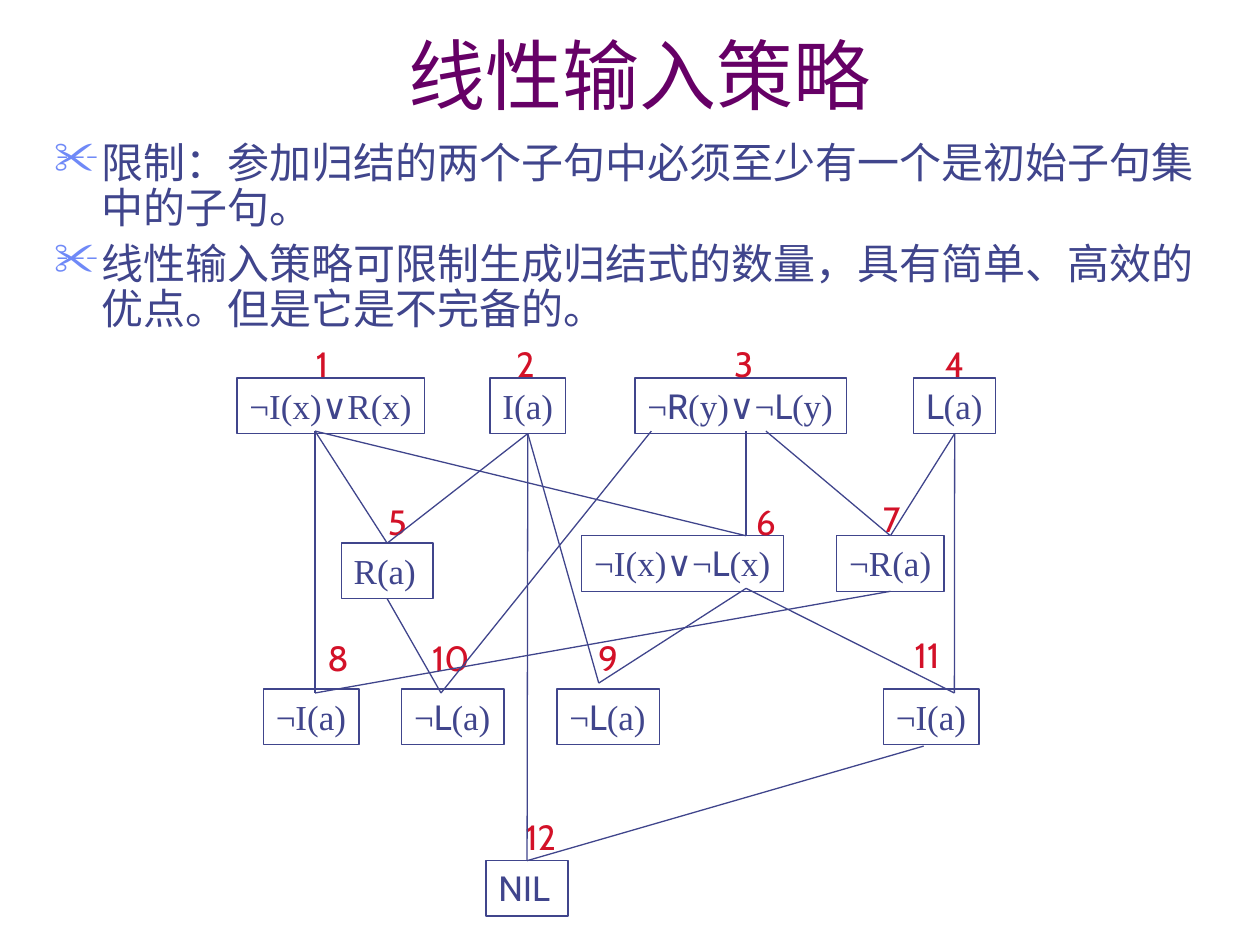
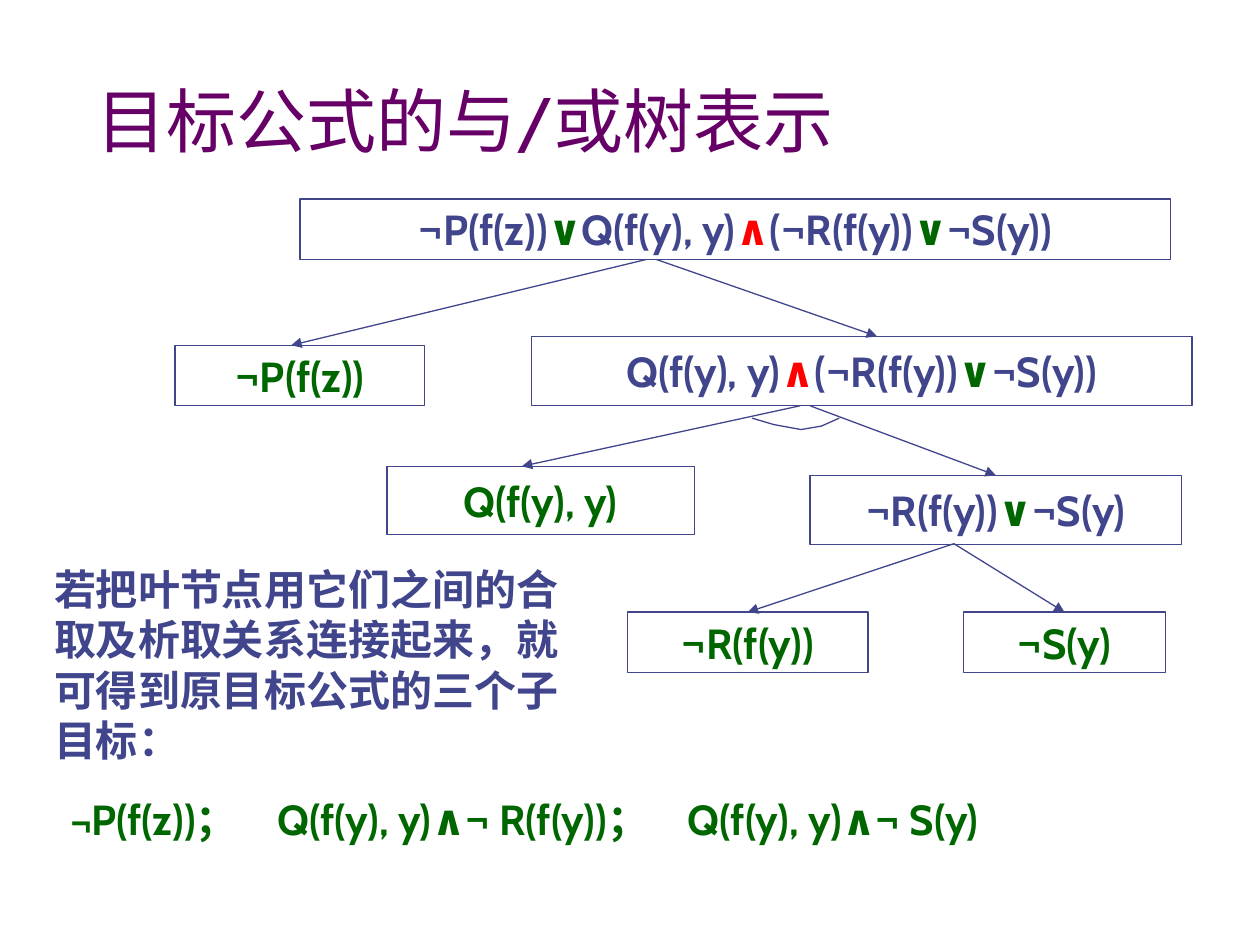
import itertools

import lxml.etree
import pptx
import pptx.dml.color
import pptx.enum.shapes
import pptx.enum.text
import pptx.oxml.ns
import pptx.util

Cm = pptx.util.Cm
Pt = pptx.util.Pt
RGBColor = pptx.dml.color.RGBColor
ALIGN = pptx.enum.text.PP_ALIGN
ANCHOR = pptx.enum.text.MSO_ANCHOR
AUTO_SIZE = pptx.enum.text.MSO_AUTO_SIZE
qn = pptx.oxml.ns.qn

PURPLE = RGBColor(0x66, 0x00, 0x66)
INDIGO = RGBColor(0x40, 0x45, 0x8C)
CRIMSON = RGBColor(0xD3, 0x11, 0x28)
GREEN = RGBColor(0x00, 0x66, 0x00)
RED = RGBColor(0xFF, 0x00, 0x00)
BULLET_BLUE = RGBColor(0x6F, 0x89, 0xF7)

CABIN = "Cabin"
TIMES = "Times New Roman"
ARIAL = "Arial"
TOP, BOTTOM = 0, 2
LINE_WIDTH = Pt(0.75)
CLAUSE_HEIGHT = 1.12
OPERATOR_COLORS = {"∨": GREEN, "∧": RED}

RESTRICTIONS = [
    "限制：参加归结的两个子句中必须至少有一个是初始子句集中的子句。",
    "线性输入策略可限制生成归结式的数量，具有简单、高效的优点。但是它是不完备的。",
]

CLAUSES = {
    "1": ((4.78, 7.62, 3.78), (6.12, 6.78), ("¬I(x)", "∨", "R(x)")),
    "2": ((9.88, 7.62, 1.52), (10.16, 6.78), ("I(a)",)),
    "3": ((12.8, 7.62, 4.27), (14.55, 6.78), ("¬", "R", "(y)", "∨", "¬", "L", "(y)")),
    "4": ((18.42, 7.62, 1.65), (18.8, 6.78), ("", "L", "(a)")),
    "5": ((6.88, 10.95, 1.85), (7.57, 9.96), ("R(a)",)),
    "6": ((11.73, 10.8, 4.06), (14.99, 9.96), ("¬I(x)", "∨", "¬", "L", "(x)")),
    "7": ((16.87, 10.8, 2.16), (17.55, 9.91), ("¬R(a)",)),
    "8": ((5.31, 13.89, 1.93), (6.35, 12.7), ("¬I(a)",)),
    "9": ((11.23, 13.89, 2.06), (11.81, 12.7), ("¬", "L", "(a)")),
    "10": ((8.1, 13.89, 2.06), (8.46, 12.7), ("¬", "L", "(a)")),
    "11": ((17.81, 13.89, 1.93), (18.19, 12.65), ("¬I(a)",)),
    "12": ((9.8, 17.35, 1.65), (10.34, 16.31), ("", "NIL")),
}

BELOW_1 = (6.35, 8.69)
ABOVE_6 = (15.04, 10.8)
BELOW_6 = (15.04, 11.86)
ABOVE_8 = (6.35, 13.97)
ABOVE_9 = (12.07, 13.77)
ABOVE_10 = (8.89, 13.97)
ABOVE_11 = (19.24, 13.97)

RESOLUTIONS = [
    (BELOW_1, ("5", TOP)), (("2", BOTTOM), ("5", TOP)),
    (BELOW_1, ABOVE_6), ((15.04, 8.69), ABOVE_6),
    ((15.44, 8.69), ("7", TOP)), (("4", BOTTOM), ("7", TOP)),
    (BELOW_1, ABOVE_8), (("7", BOTTOM), ABOVE_8),
    (("2", BOTTOM), ABOVE_9), (BELOW_6, ABOVE_9),
    ((13.13, 8.69), ABOVE_10), (("5", BOTTOM), ABOVE_10),
    (("4", BOTTOM), ABOVE_11), (BELOW_6, ABOVE_11),
    (("2", BOTTOM), ("12", TOP)), ((18.62, 15.04), ("12", TOP)),
]

GOALS = {
    "goal": ((6.05, 4.01, 17.55, 1.22), "¬P(f(z))∨Q(f(y), y)∧(¬R(f(y))∨¬S(y))", INDIGO),
    "not P": ((3.53, 6.96, 5.03, 1.22), "¬P(f(z))", GREEN),
    "and": ((10.72, 6.78, 13.31, 1.4), "Q(f(y), y)∧(¬R(f(y))∨¬S(y))", INDIGO),
    "Q": ((7.8, 9.4, 6.2, 1.37), "Q(f(y), y)", GREEN),
    "or": ((16.33, 9.58, 7.49, 1.4), "¬R(f(y))∨¬S(y)", INDIGO),
    "not R": ((12.65, 12.34, 4.85, 1.22), "¬R(f(y))", GREEN),
    "not S": ((19.43, 12.34, 4.06, 1.22), "¬S(y)", GREEN),
}

BELOW_OR = (19.23, 10.96)
BRANCHES = [
    ((13.03, 5.23), (5.87, 6.96)),
    ((13.23, 5.23), (17.68, 6.78)),
    ((16.13, 8.18), (10.52, 9.4)),
    ((16.33, 8.18), ("or", TOP)),
    (BELOW_OR, ("not R", TOP)),
    (BELOW_OR, ("not S", TOP)),
]

AND_ARC = [(15.16, 8.43), (15.6, 8.56), (16.15, 8.66), (16.56, 8.59), (16.92, 8.43)]


def in_cm(values):
    return [Cm(value) for value in values]


def format_font(font, name, size, color, bold=False):
    font.name = name
    font.size = Pt(size)
    font.color.rgb = color
    font.bold = bold


def add_run(paragraph, text, name, size, color, bold=False):
    run = paragraph.add_run()
    run.text = text
    format_font(run.font, name, size, color, bold)


def add_title(presentation, text, frame, size, alignment):
    slide = presentation.slides.add_slide(presentation.slide_layouts[5])
    title = slide.shapes.title
    title.left, title.top, title.width, title.height = in_cm(frame)
    text_frame = title.text_frame
    text_frame.text = text
    text_frame.auto_size = AUTO_SIZE.NONE
    text_frame.vertical_anchor = ANCHOR.BOTTOM
    paragraph = text_frame.paragraphs[0]
    paragraph.alignment = alignment
    format_font(paragraph.runs[0].font, CABIN, size, PURPLE)
    return slide


def add_text_box(slide, frame, wrap=True):
    text_frame = slide.shapes.add_textbox(*in_cm(frame)).text_frame
    text_frame.word_wrap = wrap
    return text_frame


def add_bullet(paragraph):
    properties = paragraph._p.get_or_add_pPr()
    properties.set("marL", str(Cm(0.95)))
    properties.set("indent", str(-Cm(0.95)))
    color = lxml.etree.SubElement(properties, qn("a:buClr"))
    lxml.etree.SubElement(color, qn("a:srgbClr"), val=str(BULLET_BLUE))
    lxml.etree.SubElement(properties, qn("a:buSzPct"), val="110000")
    lxml.etree.SubElement(properties, qn("a:buChar"), char="✂")


def add_bullet_list(slide, frame, items):
    text_frame = add_text_box(slide, frame)
    text_frame.text = "\n".join(items)
    for index, paragraph in enumerate(text_frame.paragraphs):
        paragraph.line_spacing = 0.9
        paragraph.space_before = Pt(6 if index else 0)
        add_bullet(paragraph)
        format_font(paragraph.runs[0].font, CABIN, 24, INDIGO)


def outline(shape):
    shape.shadow.inherit = False
    shape.fill.background()
    shape.line.color.rgb = INDIGO
    shape.line.width = LINE_WIDTH


def add_box(slide, frame, alignment, anchor):
    box = slide.shapes.add_shape(pptx.enum.shapes.MSO_SHAPE.RECTANGLE, *in_cm(frame))
    outline(box)
    box.text_frame.word_wrap = False
    box.text_frame.vertical_anchor = anchor
    box.text_frame.paragraphs[0].alignment = alignment
    return box


def add_clause(slide, place, parts):
    box = add_box(slide, (*place, CLAUSE_HEIGHT), ALIGN.LEFT, ANCHOR.TOP)
    box.text_frame.auto_size = AUTO_SIZE.SHAPE_TO_FIT_TEXT
    for part, name in zip(parts, itertools.cycle((TIMES, CABIN))):
        if part:
            add_run(box.text_frame.paragraphs[0], part, name, 20, INDIGO)
    return box


def add_clause_number(slide, number, place):
    width = 0.91 if len(number) == 1 else 1.32
    text_frame = add_text_box(slide, (*place, width, CLAUSE_HEIGHT), wrap=False)
    add_run(text_frame.paragraphs[0], number, CABIN, 20, CRIMSON)


def add_goal(slide, frame, formula, color):
    box = add_box(slide, frame, ALIGN.CENTER, ANCHOR.MIDDLE)
    pieces = itertools.groupby(formula, lambda symbol: OPERATOR_COLORS.get(symbol, color))
    for piece_color, symbols in pieces:
        add_run(box.text_frame.paragraphs[0], "".join(symbols), CABIN, 24, piece_color, True)
    return box


def add_link(slide, boxes, start, end, arrow=False):
    points = [(0, 0) if isinstance(place[0], str) else place for place in (start, end)]
    link = slide.shapes.add_connector(
        pptx.enum.shapes.MSO_CONNECTOR.STRAIGHT, *in_cm(points[0] + points[1]))
    for place, connect in ((start, link.begin_connect), (end, link.end_connect)):
        if isinstance(place[0], str):
            connect(boxes[place[0]], place[1])
    link.line.color.rgb = INDIGO
    link.line.width = LINE_WIDTH
    if arrow:
        lxml.etree.SubElement(link.line._get_or_add_ln(), qn("a:tailEnd"), type="triangle")
    lxml.etree.SubElement(link._element.spPr, qn("a:effectLst"))


def add_arc(slide, points):
    first, *rest = [in_cm(point) for point in points]
    builder = slide.shapes.build_freeform(*first)
    builder.add_line_segments(rest, close=False)
    outline(builder.convert_to_shape())


def add_subgoals(slide):
    paragraph = add_text_box(slide, (1.18, 15.88, 23.47, 1.27)).paragraphs[0]
    tabs = lxml.etree.SubElement(paragraph._p.get_or_add_pPr(), qn("a:tabLst"))
    for position in (4.17, 12.44):
        lxml.etree.SubElement(tabs, qn("a:tab"), pos=str(Cm(position)), algn="l")
    add_run(paragraph, "¬", ARIAL, 20, GREEN, True)
    add_run(paragraph, "P(f(z))；\tQ(f(y), y)∧¬ R(f(y))；\tQ(f(y), y)∧¬ S(y)",
            CABIN, 24, GREEN, True)


def build_linear_input(presentation):
    slide = add_title(presentation, "线性输入策略", (2.11, 0.64, 21.59, 1.9), 44, ALIGN.CENTER)
    add_bullet_list(slide, (0.84, 2.74, 23.7, 4.45), RESTRICTIONS)
    boxes = {}
    for number, (place, number_place, parts) in CLAUSES.items():
        boxes[number] = add_clause(slide, place, parts)
        add_clause_number(slide, number, number_place)
    for start, end in RESOLUTIONS:
        add_link(slide, boxes, start, end)


def build_goal_tree(presentation):
    slide = add_title(presentation, "目标公式的与/或树表示", (1.7, 0.2, 21.59, 3.18), 40, ALIGN.LEFT)
    boxes = {name: add_goal(slide, *goal) for name, goal in GOALS.items()}
    for start, end in BRANCHES:
        add_link(slide, boxes, start, end, arrow=True)
    add_arc(slide, AND_ARC)
    explanation = add_text_box(slide, (0.84, 11.23, 11, 4.32)).paragraphs[0]
    add_run(explanation, "若把叶节点用它们之间的合取及析取关系连接起来，就可得到原目标公式的三个子目标：",
            ARIAL, 24, INDIGO, True)
    add_subgoals(slide)


def main():
    presentation = pptx.Presentation()
    presentation.slide_width = Cm(25.4)
    presentation.slide_height = Cm(19.05)
    build_linear_input(presentation)
    build_goal_tree(presentation)
    presentation.save("out.pptx")


if __name__ == "__main__":
    main()
